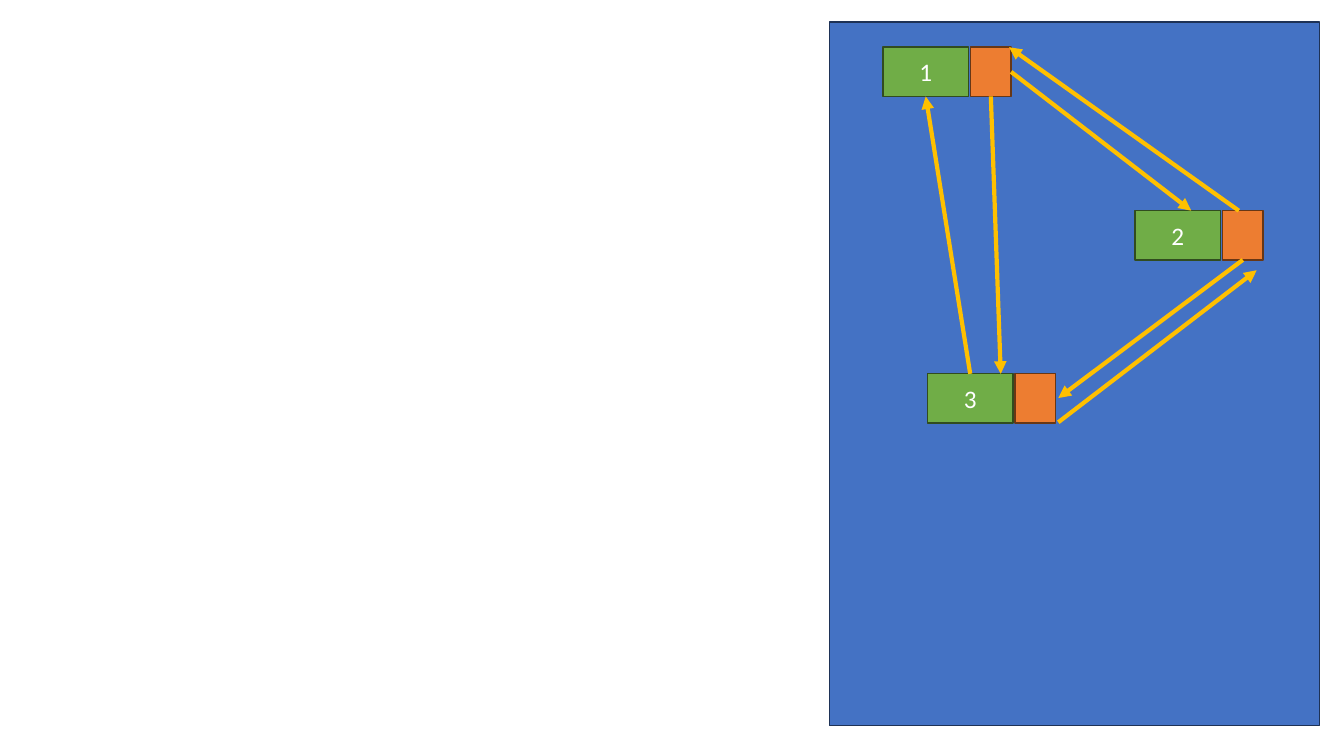
from pptx import Presentation
from pptx.dml.color import RGBColor as RGB
from pptx.enum.shapes import MSO_CONNECTOR as Line, MSO_SHAPE as Shape
from pptx.enum.text import MSO_ANCHOR as Anchor, PP_ALIGN as Align
from pptx.oxml.ns import qn
from pptx.util import Cm, Pt
from lxml.etree import SubElement

HUES = {
    "panel": "4472C4", "panel edge": "1E3256",
    "node": "70AD47", "node edge": "314C1F",
    "link": "ED7D31", "link edge": "683715",
    "arrow": "FFC000", "text": "FFFFFF",
}
TOP, BOTTOM, RIGHT = 0, 2, 3


def add_box(shapes, hue, x, y, w, h):
    box = shapes.add_shape(Shape.RECTANGLE, Cm(x), Cm(y), Cm(w), Cm(h))
    box.shadow.inherit = False
    box.fill.solid()
    box.fill.fore_color.rgb = RGB.from_string(HUES[hue])
    box.line.color.rgb = RGB.from_string(HUES[hue + " edge"])
    box.line.width = Pt(1)
    return box


deck = Presentation()
deck.slide_width, deck.slide_height = Cm(33.87), Cm(19.05)
slide = deck.slides.add_slide(deck.slide_layouts[6])
add_box(slide.shapes, "panel", 20.9, 0.56, 12.35, 17.73)

# Each node is a numbered box with a link box beside it
nodes, links = {}, {}
for name, x, y in (("1", 22.25, 1.19), ("2", 28.6, 5.31), ("3", 23.37, 9.42)):
    pair = slide.shapes.add_group_shape()
    node = add_box(pair.shapes, "node", x, y, 2.16, 1.24)
    links[name] = add_box(pair.shapes, "link", x + 2.21, y, 1.02, 1.24)
    nodes[name] = node
    frame = node.text_frame
    frame.vertical_anchor = Anchor.MIDDLE
    para = frame.paragraphs[0]
    para.alignment = Align.CENTER
    run = para.add_run()
    run.text = name
    run.font.name = "Calibri"
    run.font.size = Pt(18)
    run.font.color.rgb = RGB.from_string(HUES["text"])

# An end is either a box with its side, or a free point
arrows = (
    ((links["1"], RIGHT), (30.02, 5.31)),
    ((links["2"], BOTTOM), (26.67, 10.03)),
    ((nodes["3"], TOP), (nodes["1"], BOTTOM)),
    ((31.22, 5.31), (25.43, 1.19)),
    ((26.67, 10.64), (31.67, 6.81)),
    ((links["1"], BOTTOM), (25.22, 9.42)),
)
boxes = [*nodes.values(), *links.values()]
for start, end in arrows:
    ends = [(0, 0) if spot[0] in boxes else spot for spot in (start, end)]
    (x1, y1), (x2, y2) = ends
    arrow = slide.shapes.add_connector(Line.STRAIGHT, Cm(x1), Cm(y1), Cm(x2), Cm(y2))
    if start[0] in boxes:
        arrow.begin_connect(*start)
    if end[0] in boxes:
        arrow.end_connect(*end)
    arrow.line.color.rgb = RGB.from_string(HUES["arrow"])
    arrow.line.width = Pt(3)
    SubElement(arrow.line._get_or_add_ln(), qn("a:tailEnd"), type="triangle")
    SubElement(arrow._element.spPr, qn("a:effectLst"))

deck.save("out.pptx")
